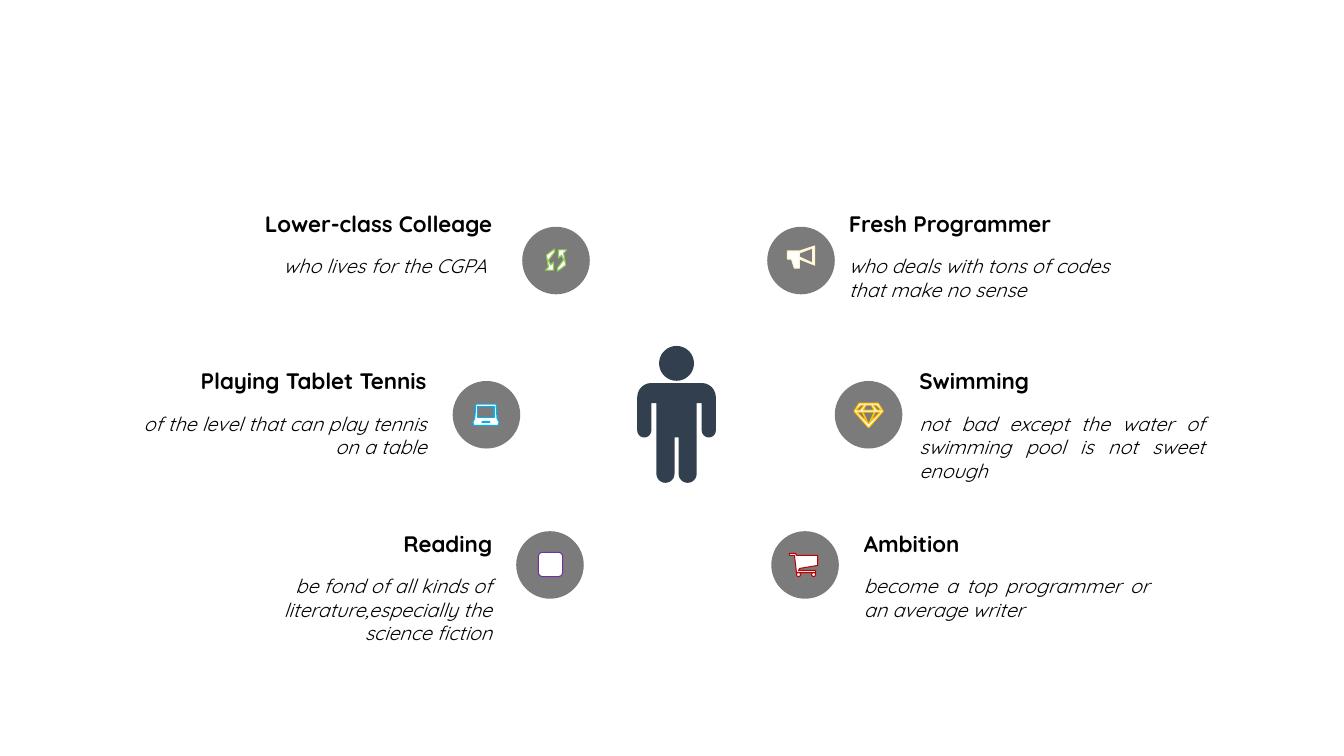
"""Build a personal profile slide: a figure amid six topics with icons."""
from dataclasses import dataclass
from math import cos, pi, sin

from pptx import Presentation
from pptx.dml.color import RGBColor
from pptx.enum.shapes import MSO_SHAPE
from pptx.enum.text import MSO_AUTO_SIZE, PP_ALIGN
from pptx.util import Inches, Pt

Point = tuple[float, float]
Outline = list[Point]

COLORS = {"disc": "7B7B7B", "icon": "FFFFFF", "body": "323F4F", "text": "000000",
          "horn": "FFF2CC", "gem": "FFC000", "cart": "C00000",
          "badge": "7030A0", "cycle": "92D050", "laptop": "00B0F0"}
TITLE = {"size": Pt(16), "name": "Quicksand", "bold": True}
NOTE = {"size": Pt(14), "name": "Quicksand", "italic": True}
DISC = 0.67
ROWS = (2.01, 3.57, 5.18)
DISCS = (2.25, 3.78, 5.27)
LEFT, RIGHT, BOTH = PP_ALIGN.LEFT, PP_ALIGN.RIGHT, PP_ALIGN.JUSTIFY


@dataclass
class Topic:
    """A titled note beside an icon disc."""
    title: str
    note: str
    row: int
    edge: float
    disc: float
    icon: str
    lines: int
    align: PP_ALIGN
    width: float = 3.03


def ring(x: float, y: float, size: float) -> Outline:
    """Return a round outline."""
    return [(x + size * cos(k * pi / 18), y + size * sin(k * pi / 18)) for k in range(36)]


def bend(x: float, y: float, size: float, start: int) -> Outline:
    """Return a rounded corner, a quarter circle from a start quarter."""
    return [(x + size * cos(a), y + size * sin(a))
            for a in ((start + k / 6) * pi / 2 for k in range(7))]


def flip(dots: Outline, x: float) -> Outline:
    """Return the mirror image of an outline."""
    return [(2 * x - a, b) for a, b in reversed(dots)]


def mirror(dots: Outline, x: float) -> Outline:
    """Close half an outline with its mirror image."""
    return dots + flip(dots, x)


ARROW = [(554, 248), (554, 256), (557, 253), (559, 258), (553, 266),
         (553, 269), (561, 263), (559, 251), (562, 248)]
CROWN = [(874, 407), (869, 402), (866, 402), (870, 407)]
FACET = [(873, 409), (868, 409), (863, 419)]
MID = 861.5
ICONS = {
    "horn": [[(808, 244), (808, 263), (793, 257), (793, 266), (788, 266),
              (785, 257), (781, 257), (781, 249), (793, 249)],
             [(806, 246), (793, 251), (793, 255), (806, 261)]],
    "gem": [mirror([(871, 400), (876, 408), (862, 424)], MID),
            mirror([(864, 402), (867, 407)], MID), mirror([(867, 409), (862, 420)], MID),
            CROWN, flip(CROWN, MID), FACET, flip(FACET, MID)],
    "cart": [ring(807, 570, 2), ring(792, 570, 2),
             [(783, 549), (789, 549), (790, 551), (811, 551), (811, 561), (793, 564),
              (792, 566), (809, 566), (809, 568), (790, 568), (788, 551), (783, 551)]],
    "cycle": [ARROW, [(1103 - x, 516 - y) for x, y in ARROW]],
    "laptop": [mirror(half, 482) for half in (
        [(490, 403), (490, 414)], [(485, 418), (486, 419)],
        [(492, 401), (493, 415), (495, 419), (494, 422)])],
}
BODY = mirror([*bend(696, 394, 14, 3), *bend(703, 427, 7, 0), *bend(703, 427, 7, 1),
               (696, 400), (691, 400), *bend(682, 470, 9, 0), *bend(682, 470, 9, 1),
               (673, 434)], 671)
TOPICS = [
    Topic("Fresh Programmer", "who deals with tons of codes\nthat make no sense",
          0, 8.32, 7.61, "horn", 2, BOTH),
    Topic("Swimming", "not bad except the water of swimming pool is not sweet enough",
          1, 9.02, 8.28, "gem", 3, BOTH),
    Topic("Ambition", "become a top programmer or an average writer",
          2, 8.47, 7.65, "cart", 2, BOTH),
    Topic("Lower-class Colleage", "who lives for the CGPA ",
          0, 4.98, 5.18, "cycle", 1, RIGHT),
    Topic("Playing Tablet Tennis", "of the level that can play tennis on a table",
          1, 4.33, 4.49, "laptop", 2, RIGHT),
    Topic("Reading", "be fond of all kinds of literature,especially the science fiction",
          2, 4.98, 5.12, "badge", 3, RIGHT, 2.94),
]

deck = Presentation()
deck.slide_width, deck.slide_height = Inches(13.33), Inches(7.5)
shapes = deck.slides.add_slide(deck.slide_layouts[6]).shapes


def paint(shape, fill: str, line: str = "") -> None:
    """Give a shape its fill and outline."""
    shape.shadow.inherit = False
    shape.fill.solid()
    shape.fill.fore_color.rgb = RGBColor.from_string(COLORS[fill])
    if line:
        shape.line.color.rgb = RGBColor.from_string(COLORS[line])
        shape.line.width = Pt(0.75)
    else:
        shape.line.fill.background()


def preset(kind: MSO_SHAPE, x: float, y: float, size: float,
           fill: str, line: str = "") -> None:
    """Add a painted preset shape, as wide as high."""
    side = Inches(size)
    paint(shapes.add_shape(kind, Inches(x), Inches(y), side, side), fill, line)


def draw(outlines: list[Outline], fill: str, line: str = "") -> None:
    """Add one freeform from closed outlines in hundredths of an inch."""
    scaled = [[(Inches(x / 100), Inches(y / 100)) for x, y in dots] for dots in outlines]
    maker = shapes.build_freeform(*scaled[0][0])
    for index, dots in enumerate(scaled):
        if index:
            maker.move_to(*dots[0])
        maker.add_line_segments(dots[1:], close=True)
    paint(maker.convert_to_shape(), fill, line)


def write(text: str, x: float, y: float, wide: float, high: float,
          style: dict, align: PP_ALIGN, gap: float) -> None:
    """Add a text box whose paragraphs share one style."""
    frame = shapes.add_textbox(Inches(x), Inches(y), Inches(wide), Inches(high)).text_frame
    frame.word_wrap = True
    frame.auto_size = MSO_AUTO_SIZE.SHAPE_TO_FIT_TEXT
    frame.text = text
    for para in frame.paragraphs:
        para.alignment, para.line_spacing = align, gap
        font = para.runs[0].font
        font.color.rgb = RGBColor.from_string(COLORS["text"])
        for key, value in style.items():
            setattr(font, key, value)


def place(topic: Topic) -> None:
    """Draw the disc, icon, title and note of a topic."""
    disc, top = DISCS[topic.row], ROWS[topic.row]
    preset(MSO_SHAPE.OVAL, topic.disc, disc, DISC, "disc")
    if topic.icon in ICONS:
        draw(ICONS[topic.icon], "icon", topic.icon)
    else:
        preset(MSO_SHAPE.ROUNDED_RECTANGLE, topic.disc + 0.22, disc + 0.21,
               0.24, "icon", topic.icon)
    back = topic.align == RIGHT
    write(topic.title, topic.edge - 2.81 * back, top, 2.81, 0.4,
          TITLE, RIGHT if back else LEFT, 1.1)
    write(topic.note, topic.edge - topic.width * back, top + 0.46, topic.width,
          0.1 + topic.lines * 17 / 72, NOTE, topic.align, Pt(17))


for topic in TOPICS:
    place(topic)
draw([ring(671, 360.5, 17.3), BODY], "body")
deck.save("out.pptx")
